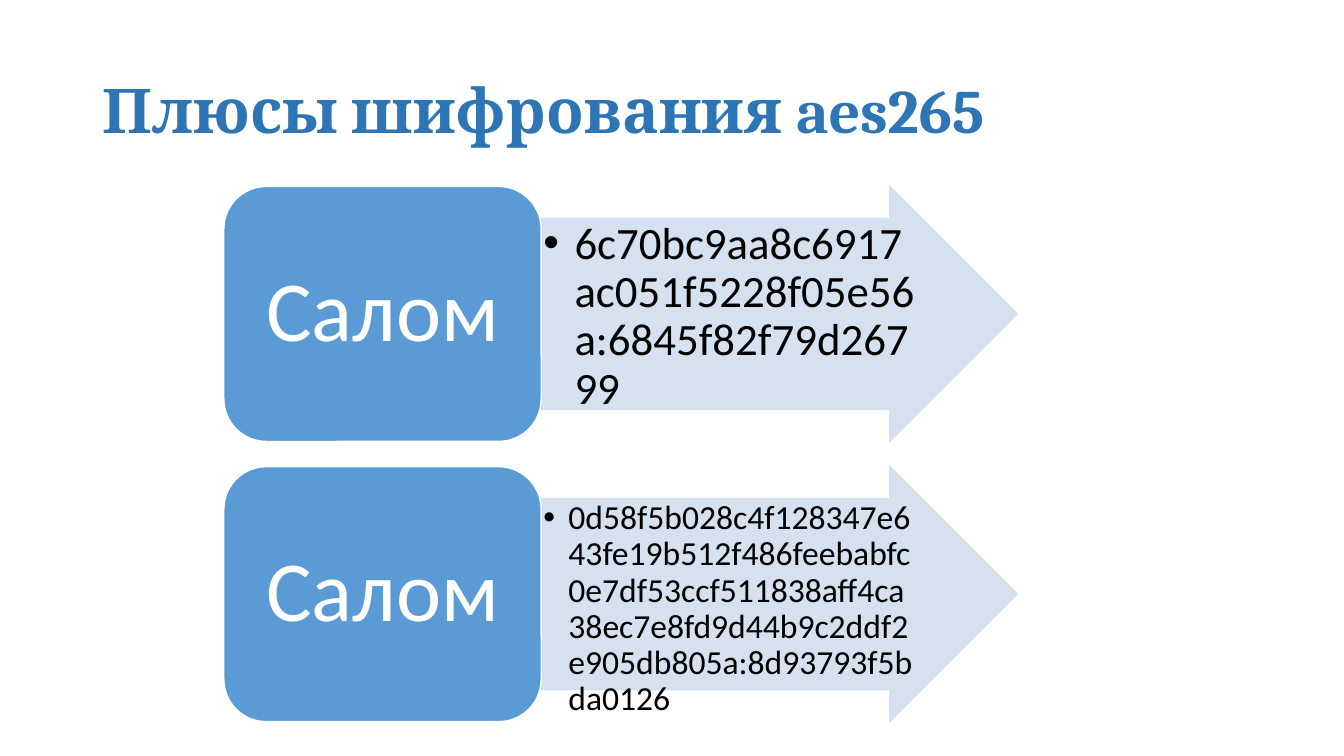
from lxml import etree
from pptx import Presentation
from pptx.dml.color import RGBColor
from pptx.enum.shapes import MSO_SHAPE
from pptx.enum.text import MSO_ANCHOR, MSO_AUTO_SIZE, PP_ALIGN
from pptx.oxml.ns import qn
from pptx.util import Inches, Pt

ARROW, ROUND = MSO_SHAPE.RIGHT_ARROW, MSO_SHAPE.ROUNDED_RECTANGLE
MIDDLE, TOP = MSO_ANCHOR.MIDDLE, MSO_ANCHOR.TOP
LEFT, CENTER = PP_ALIGN.LEFT, PP_ALIGN.CENTER
NO_FIT = MSO_AUTO_SIZE.NONE

NAVY = RGBColor(0x2E, 0x75, 0xB6)
BLUE = RGBColor(0x5B, 0x9B, 0xD5)
PALE = RGBColor(0xD2, 0xDE, 0xEF)
WHITE = RGBColor(0xFF, 0xFF, 0xFF)
BLACK = RGBColor(0, 0, 0)

WIDE, HIGH = 13.33, 7.5
TITLE_BOX = (0.92, 0.4, 11.5, 1.45)
LIST_BOX = (2.22, 1.85, 7.87, 5.31)
ROW_GAP = 0.25
CARD_SHARE = 0.4    # card width as a share of the row
TEXT_SHARE = 0.8    # text width as a share of the arrow
SHAFT = 0.75        # shaft height as a share of the arrow

# Word, cipher text, point size, hanging indent
ROWS = [
    ("Салом", "6c70bc9aa8c6917ac051f5228f05e56a:6845f82f79d26799", 32, 0.31),
    ("Салом", "0d58f5b028c4f128347e643fe19b512f486feebabfc0e7df53ccf511838aff4ca"
              "38ec7e8fd9d44b9c2ddf2e905db805a:8d93793f5bda0126", 24, 0.25),
]


def inches(box):
    return [Inches(n) for n in box]


def write(frame, text, font, size, color, align, anchor, pads):
    frame.text = text
    frame.word_wrap = True
    frame.auto_size = NO_FIT
    frame.vertical_anchor = anchor
    frame.margin_left = frame.margin_right = Inches(pads[0])
    frame.margin_top = frame.margin_bottom = Inches(pads[1])
    para = frame.paragraphs[0]
    para.alignment = align
    para.line_spacing = 0.9
    style = para.runs[0].font
    style.name, style.size, style.color.rgb = font, Pt(size), color
    return para


def add_shape(slide, kind, box, fill, line):
    shape = slide.shapes.add_shape(kind, *inches(box))
    shape.shadow.inherit = False
    shape.fill.solid()
    shape.fill.fore_color.rgb = fill
    shape.line.color.rgb = line
    shape.line.width = Pt(1)
    return shape


def fade(shape, share):
    for color in shape._element.spPr.iter(qn("a:srgbClr")):
        etree.SubElement(color, qn("a:alpha"), val=str(int(share * 100000)))


def add_bullet(para, indent):
    props = para._p.get_or_add_pPr()
    props.set("marL", str(Inches(indent)))
    props.set("indent", str(-Inches(indent)))
    etree.SubElement(props, qn("a:buFont"), typeface="Arial")
    etree.SubElement(props, qn("a:buChar"), char="•")


def add_title(slide, box, text):
    title = slide.shapes.title
    title.left, title.top, title.width, title.height = inches(box)
    para = write(title.text_frame, text, "Cambria", 44, NAVY, LEFT, MIDDLE, (0.1, 0.05))
    para.runs[0].font.bold = True


def add_row(slide, box, word, code, size, indent):
    left, top, width, height = box
    card = width * CARD_SHARE
    start, span = left + card, width - card

    # Arrow behind the cipher text
    arrow = add_shape(slide, ARROW, (start, top, span, height), PALE, PALE)
    arrow.adjustments[0], arrow.adjustments[1] = SHAFT, 0.5
    fade(arrow, 0.9)

    # Cipher text along the shaft
    inset = height * (1 - SHAFT) / 2
    area = (start, top + inset, span * TEXT_SHARE, height * SHAFT)
    label = slide.shapes.add_textbox(*inches(area))
    para = write(label.text_frame, code, "Calibri", size, BLACK, LEFT, TOP, (0.02, 0.02))
    add_bullet(para, indent)

    # Card with the plain word
    tile = add_shape(slide, ROUND, (left, top, card, height), BLUE, WHITE)
    write(tile.text_frame, word, "Calibri", 61, WHITE, CENTER, MIDDLE, (0.25, 0.13))


def add_list(slide, box, rows):
    left, top, width, height = box
    each = (height - ROW_GAP * (len(rows) - 1)) / len(rows)
    for i, row in enumerate(rows):
        add_row(slide, (left, top + i * (each + ROW_GAP), width, each), *row)


def main():
    deck = Presentation()
    deck.slide_width, deck.slide_height = Inches(WIDE), Inches(HIGH)
    slide = deck.slides.add_slide(deck.slide_layouts[5])
    add_title(slide, TITLE_BOX, "Плюсы шифрования aes265")
    add_list(slide, LIST_BOX, ROWS)
    deck.save("out.pptx")


if __name__ == "__main__":
    main()
